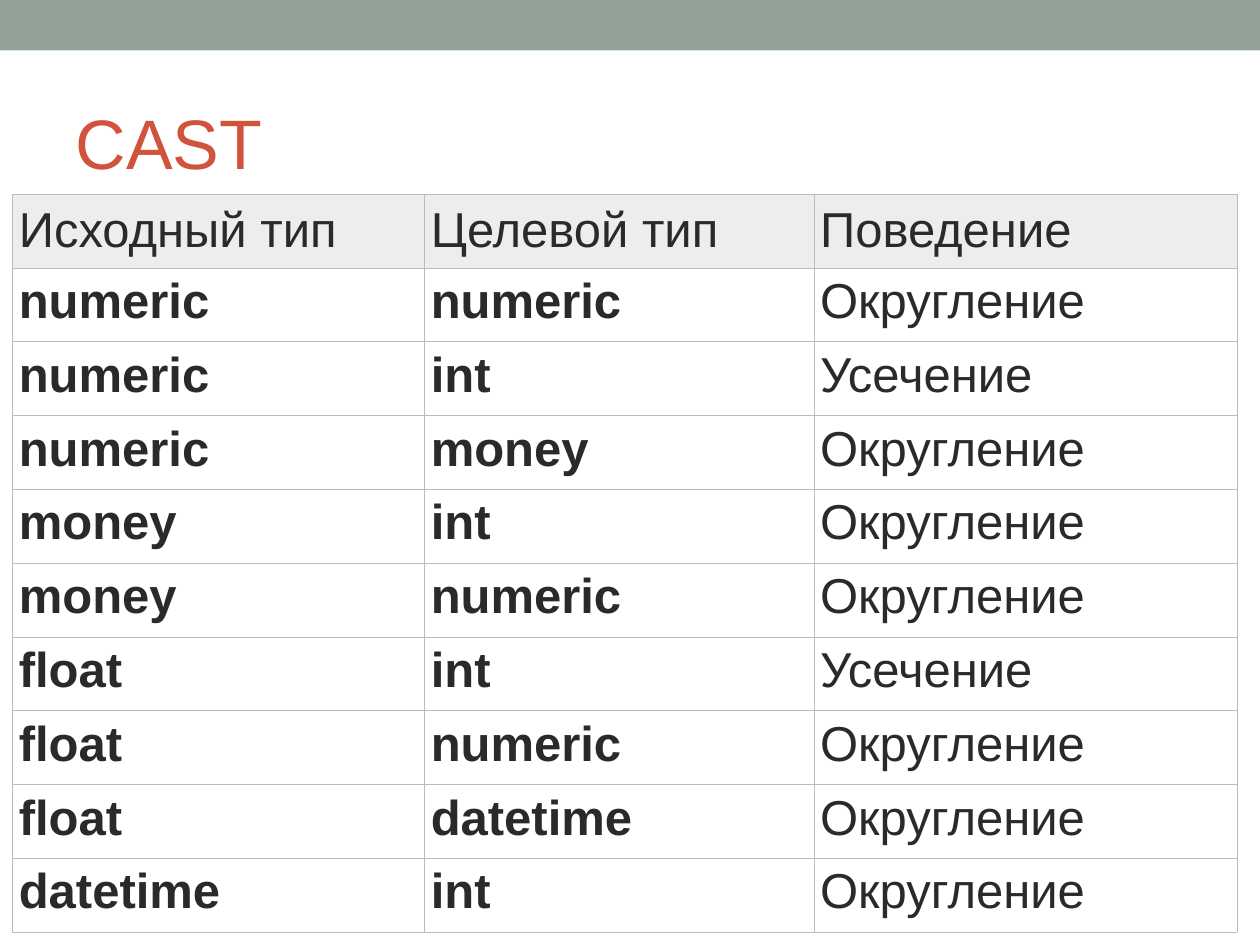
from lxml.etree import SubElement
from pptx import Presentation
from pptx.dml.color import RGBColor
from pptx.enum.shapes import MSO_SHAPE
from pptx.enum.text import MSO_ANCHOR, PP_ALIGN
from pptx.oxml.ns import qn
from pptx.util import Inches, Pt

# Content
TITLE = "CAST"
HEADER = ("Исходный тип", "Целевой тип", "Поведение")
CONVERSIONS = [
    ("numeric", "numeric", "Округление"),
    ("numeric", "int", "Усечение"),
    ("numeric", "money", "Округление"),
    ("money", "int", "Округление"),
    ("money", "numeric", "Округление"),
    ("float", "int", "Усечение"),
    ("float", "numeric", "Округление"),
    ("float", "datetime", "Округление"),
    ("datetime", "int", "Округление"),
]

# Style
FONT = "Arial"
BAND = RGBColor(0x93, 0xA2, 0x99)
ACCENT = RGBColor(0xD2, 0x53, 0x3C)
INK = RGBColor(0x2A, 0x2A, 0x2A)
HEADER_FILL = RGBColor(0xED, 0xED, 0xED)
BORDER = RGBColor(0xBB, 0xBB, 0xBB)
BORDER_WIDTH = Pt(0.34)

# Layout
COLUMN_WIDTHS = [Inches(width) for width in (3.27, 3.09, 3.36)]
TABLE_HEIGHT = Inches(5.86)
CELL_MARGIN = Inches(0.05)


def format_text(paragraph, size, color, bold=False):
    paragraph.alignment = PP_ALIGN.LEFT
    for run in paragraph.runs:
        run.font.name = FONT
        run.font.size = Pt(size)
        run.font.bold = bold
        run.font.color.rgb = color


def add_borders(cell):
    properties = cell._tc.get_or_add_tcPr()
    for position, side in enumerate(("lnL", "lnR", "lnT", "lnB")):
        line = SubElement(properties, qn(f"a:{side}"), w=str(BORDER_WIDTH))
        fill = SubElement(line, qn("a:solidFill"))
        SubElement(fill, qn("a:srgbClr"), val=str(BORDER))
        properties.insert(position, line)  # borders precede the cell fill


def fill_cell(cell, text, is_header, bold):
    cell.text_frame.text = text
    format_text(cell.text_frame.paragraphs[0], 28, INK, bold)
    cell.margin_left = cell.margin_right = CELL_MARGIN
    cell.margin_top = cell.margin_bottom = CELL_MARGIN
    cell.vertical_anchor = MSO_ANCHOR.MIDDLE if is_header else MSO_ANCHOR.TOP
    if is_header:
        cell.fill.solid()
        cell.fill.fore_color.rgb = HEADER_FILL
    else:
        cell.fill.background()
    add_borders(cell)


presentation = Presentation()
presentation.slide_width = Inches(10)
presentation.slide_height = Inches(7.5)
slide = presentation.slides.add_slide(presentation.slide_layouts[5])

# Top band
band = slide.shapes.add_shape(
    MSO_SHAPE.RECTANGLE, 0, 0, presentation.slide_width, Inches(0.4))
band.shadow.inherit = False
band.fill.solid()
band.fill.fore_color.rgb = BAND
band.line.fill.background()

# Title
title = slide.shapes.title
title.left, title.top = Inches(0.5), Inches(0.58)
title.width, title.height = Inches(9), Inches(1.08)
title.text_frame.text = TITLE
title.text_frame.vertical_anchor = MSO_ANCHOR.MIDDLE
format_text(title.text_frame.paragraphs[0], 40, ACCENT)

# Conversion table: data types bold, behaviour regular
rows = [HEADER, *CONVERSIONS]
table = slide.shapes.add_table(
    len(rows), len(HEADER), Inches(0.1), Inches(1.54),
    sum(COLUMN_WIDTHS), TABLE_HEIGHT).table
table.first_row = table.horz_banding = False
for column, width in zip(table.columns, COLUMN_WIDTHS):
    column.width = width
for row_index, row in enumerate(rows):
    is_header = row_index == 0
    for column_index, text in enumerate(row):
        bold = not is_header and column_index < 2
        fill_cell(table.cell(row_index, column_index), text, is_header, bold)

presentation.save("out.pptx")
